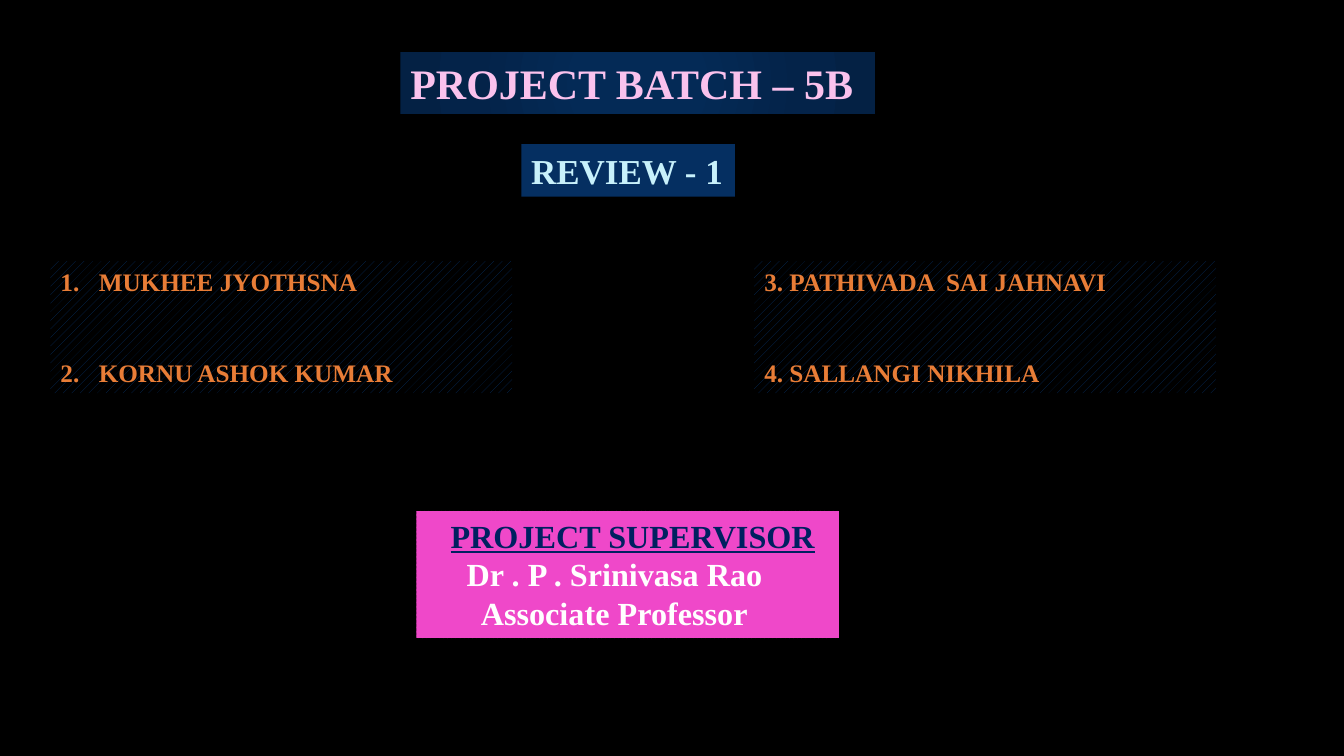
"""Build the project batch slide with its members and supervisor."""
import dataclasses

import pptx
import pptx.dml.color
import pptx.enum.dml
import pptx.enum.text
import pptx.oxml
import pptx.oxml.ns
import pptx.util

Inches = pptx.util.Inches
Pattern = pptx.enum.dml.MSO_PATTERN

TITLE = "PROJECT BATCH – 5B"
REVIEW = "REVIEW - 1"
NUMBERED_MEMBERS = ["MUKHEE JYOTHSNA", "KORNU ASHOK KUMAR"]
TYPED_MEMBERS = ["3. PATHIVADA  SAI JAHNAVI", "4. SALLANGI NIKHILA"]
SUPERVISOR = [
    ("PROJECT SUPERVISOR", 0.24),
    ("Dr . P . Srinivasa Rao", 0.4),
    ("Associate Professor", 0.54),
]


@dataclasses.dataclass(frozen=True)
class Theme:
    """Colours, font and type sizes of the slide."""
    font: str = "Times New Roman"
    background: str = "000000"
    title: str = "FAC2ED"
    review: str = "C8F1FB"
    review_fill: str = "052F61"
    member: str = "E87D37"
    heading: str = "002060"
    white: str = "FFFFFF"
    pink: str = "EF48C9"
    glow: tuple = ((0, "042A56"), (23, "042A56"), (69, "042349"), (97, "042144"))
    title_size: int = 30
    review_size: int = 25
    member_size: int = 18
    supervisor_size: int = 23
    member_gap: float = 43.5


THEME = Theme()


def rgb(value):
    """Turn a hex string into a colour."""
    return pptx.dml.color.RGBColor.from_string(value)


def place(sp, left, top, width, height):
    """Move a shape and give its text frame plain settings."""
    sp.left, sp.top = Inches(left), Inches(top)
    sp.width, sp.height = Inches(width), Inches(height)
    tf = sp.text_frame
    tf.word_wrap = True
    tf.auto_size = pptx.enum.text.MSO_AUTO_SIZE.NONE
    tf.vertical_anchor = pptx.enum.text.MSO_ANCHOR.TOP
    return tf


def write(p, text, size, color, indent=0.0, numbered=False, before=0):
    """Write one bold paragraph, numbered or plain."""
    p.alignment = pptx.enum.text.PP_ALIGN.LEFT
    p.space_before = pptx.util.Pt(before)
    pPr = p._p.get_or_add_pPr()
    pPr.set("marL", str(Inches(indent)))
    pPr.set("indent", str(-Inches(indent) if numbered else 0))
    bullet = '<a:buAutoNum %s type="arabicPeriod"/>' if numbered else "<a:buNone %s/>"
    pPr.append(pptx.oxml.parse_xml(bullet % pptx.oxml.ns.nsdecls("a")))
    r = p.add_run()
    r.text = text
    r.font.name, r.font.size, r.font.bold = THEME.font, pptx.util.Pt(size), True
    r.font.color.rgb = rgb(color)
    return r


def fill_pattern(sp, pattern, fore, back):
    """Fill a shape with a two-colour pattern."""
    sp.fill.patterned()
    sp.fill.pattern = pattern
    sp.fill.fore_color.rgb, sp.fill.back_color.rgb = rgb(fore), rgb(back)


def fill_glow(sp, stops):
    """Fill a shape with a circular gradient from its centre."""
    gs = "".join(f'<a:gs pos="{pos * 1000}"><a:srgbClr val="{color}"/></a:gs>'
                 for pos, color in stops)
    sp._element.spPr.append(pptx.oxml.parse_xml(
        f'<a:gradFill {pptx.oxml.ns.nsdecls("a")} rotWithShape="1"><a:gsLst>{gs}</a:gsLst>'
        '<a:path path="circle"><a:fillToRect l="50000" t="50000" r="50000" b="50000"/>'
        '</a:path></a:gradFill>'))


def add_members(sp, left, members, numbered):
    """Lay out one list of members."""
    tf = place(sp, left, 2.59, 4.58, 1.31)
    fill_pattern(sp, Pattern.PERCENT_20, THEME.review_fill, THEME.background)
    for i, member in enumerate(members):
        p = tf.add_paragraph() if i else tf.paragraphs[0]
        write(p, member, THEME.member_size, THEME.member, 0.38 if numbered else 0,
              numbered, THEME.member_gap if i else 0)


def main():
    """Build and save the slide."""
    prs = pptx.Presentation()
    prs.slide_width, prs.slide_height = Inches(13.33), Inches(7.5)
    s = prs.slides.add_slide(prs.slide_layouts.get_by_name("Two Content"))
    s.background.fill.solid()
    s.background.fill.fore_color.rgb = rgb(THEME.background)
    title, left_list, right_list = list(s.placeholders)[:3]

    tf = place(title, 3.97, 0.52, 4.71, 0.61)
    fill_glow(title, THEME.glow)
    write(tf.paragraphs[0], TITLE, THEME.title_size, THEME.title)

    review = s.shapes.add_textbox(0, 0, 0, 0)
    tf = place(review, 5.17, 1.43, 2.12, 0.52)
    review.fill.solid()
    review.fill.fore_color.rgb = rgb(THEME.review_fill)
    write(tf.paragraphs[0], REVIEW, THEME.review_size, THEME.review)

    add_members(left_list, 0.5, NUMBERED_MEMBERS, True)
    add_members(right_list, 7.48, TYPED_MEMBERS, False)

    supervisor = s.shapes.add_textbox(0, 0, 0, 0)
    tf = place(supervisor, 4.13, 5.07, 4.19, 1.26)
    fill_pattern(supervisor, Pattern.PERCENT_80, THEME.pink, THEME.pink)
    for i, (text, indent) in enumerate(SUPERVISOR):
        p = tf.add_paragraph() if i else tf.paragraphs[0]
        r = write(p, text, THEME.supervisor_size,
                  THEME.white if i else THEME.heading, indent)
        r.font.underline = i == 0

    prs.save("out.pptx")


if __name__ == "__main__":
    main()
